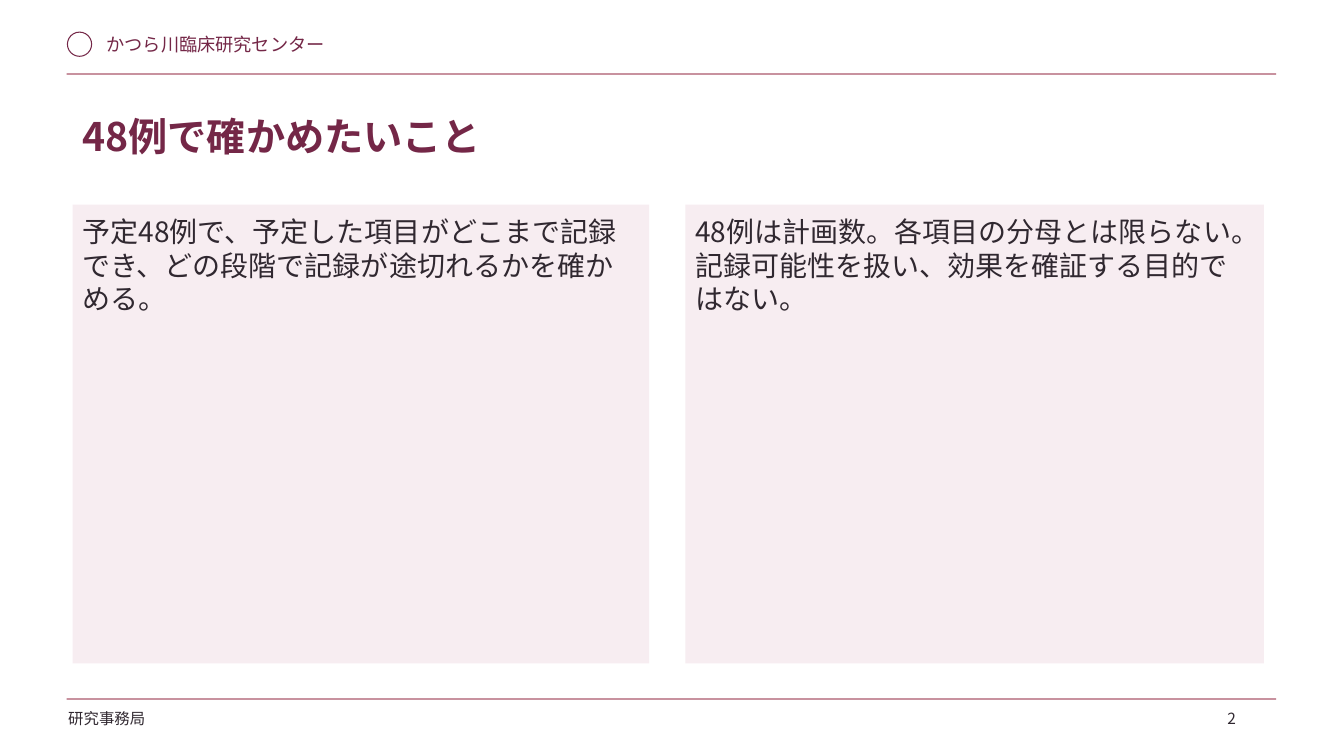
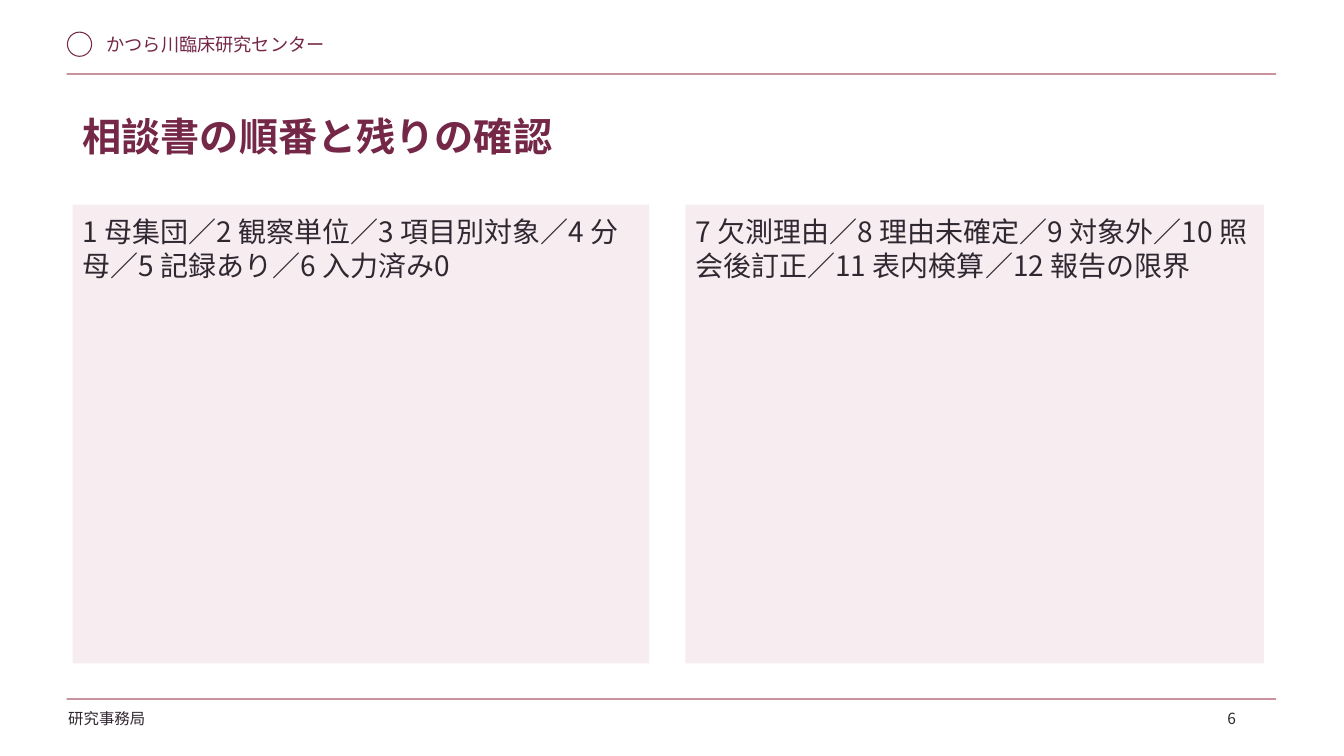
"""Build two slides of a clinical research deck with a shared frame."""
from typing import NamedTuple

from pptx import Presentation
from pptx.dml.color import RGBColor
from pptx.enum.shapes import MSO_SHAPE as Preset
from pptx.enum.text import MSO_ANCHOR as Anchor, PP_ALIGN as Align
from pptx.oxml.ns import qn
from pptx.shapes.autoshape import Shape
from pptx.slide import Slide
from pptx.util import Cm, Pt

FONT = "Noto Sans CJK JP"
PLUM = "742747"
ROSE = "AB586C"
BLUSH = "F7EDF1"
INK = "302830"


class Area(NamedTuple):
    left: float
    top: float
    width: float
    height: float


class TextStyle(NamedTuple):
    size: float
    color: str
    bold: bool = False
    inset: float = 0.13


class Page(NamedTuple):
    number: int
    title: str
    panels: tuple[str, str]


HEADER_STYLE = TextStyle(13, PLUM)
FOOTER_STYLE = TextStyle(11, INK)
TITLE_STYLE = TextStyle(28, PLUM, bold=True, inset=0.25)
PANEL_STYLE = TextStyle(20, INK, inset=0.25)

EMBLEM_AREA = Area(1.7, 0.81, 0.61, 0.61)
HEADER_AREA = Area(2.44, 0.71, 8.38, 0.89)
RULE_TOPS = (1.85, 17.6)
TITLE_AREA = Area(1.83, 2.59, 30.23, 2.06)
PANEL_AREAS = (Area(1.83, 5.16, 14.53, 11.56), Area(17.27, 5.16, 14.58, 11.56))
FOOTER_AREA = Area(1.47, 17.75, 4.57, 0.91)
NUMBER_AREA = Area(30.68, 17.75, 1.27, 0.76)

PAGES = (
    Page(2, "48例で確かめたいこと", (
        "予定48例で、予定した項目がどこまで記録でき、どの段階で記録が途切れるかを確かめる。",
        "48例は計画数。各項目の分母とは限らない。記録可能性を扱い、効果を確証する目的ではない。",
    )),
    Page(6, "相談書の順番と残りの確認", (
        "1 母集団／2 観察単位／3 項目別対象／4 分母／5 記録あり／6 入力済み0",
        "7 欠測理由／8 理由未確定／9 対象外／10 照会後訂正／11 表内検算／12 報告の限界",
    )),
)


def rgb(value: str) -> RGBColor:
    """Turn a hex string into a colour."""
    return RGBColor.from_string(value)


def lengths(area: Area) -> tuple[Cm, ...]:
    """Give the position and size of an area as lengths."""
    return tuple(Cm(value) for value in area)


def add_filled(slide: Slide, area: Area, color: str) -> Shape:
    """Add a borderless filled rectangle."""
    box = slide.shapes.add_shape(Preset.RECTANGLE, *lengths(area))
    box.shadow.inherit = False
    box.fill.solid()
    box.fill.fore_color.rgb = rgb(color)
    box.line.fill.background()
    return box


def add_emblem(slide: Slide) -> None:
    """Add the plain ring beside the centre name."""
    ring = slide.shapes.add_shape(Preset.OVAL, *lengths(EMBLEM_AREA))
    ring.shadow.inherit = False
    ring.fill.background()
    ring.line.color.rgb = rgb(PLUM)
    ring.line.width = Pt(0.75)


def write(box: Shape, text: str, style: TextStyle) -> None:
    """Put styled text at the top left of a box."""
    frame = box.text_frame
    frame.word_wrap = True
    frame.vertical_anchor = Anchor.TOP
    frame.margin_left = frame.margin_right = Cm(0.25)
    frame.margin_top = frame.margin_bottom = Cm(style.inset)
    frame.text = text
    para = frame.paragraphs[0]
    para.alignment = Align.LEFT
    for span in para.runs:
        span.font.size = Pt(style.size)
        span.font.bold = style.bold
        span.font.color.rgb = rgb(style.color)
        span.font.name = FONT
        properties = span._r.get_or_add_rPr()
        east_asian = properties.makeelement(qn("a:ea"), {"typeface": FONT})
        properties.append(east_asian)


def add_text(slide: Slide, area: Area, text: str, style: TextStyle) -> None:
    """Add a text box with styled text."""
    write(slide.shapes.add_textbox(*lengths(area)), text, style)


def add_frame(slide: Slide, number: int) -> None:
    """Add the header, rules and footer shared by all pages."""
    add_emblem(slide)
    add_text(slide, HEADER_AREA, "かつら川臨床研究センター", HEADER_STYLE)
    for top in RULE_TOPS:
        add_filled(slide, Area(1.68, top, 30.48, 0.03), ROSE)
    add_text(slide, FOOTER_AREA, "研究事務局", FOOTER_STYLE)
    add_text(slide, NUMBER_AREA, str(number), FOOTER_STYLE)


def main() -> None:
    """Build and save the deck."""
    deck = Presentation()
    deck.slide_width, deck.slide_height = Cm(33.87), Cm(19.05)
    for page in PAGES:
        slide = deck.slides.add_slide(deck.slide_layouts[6])
        add_frame(slide, page.number)
        add_text(slide, TITLE_AREA, page.title, TITLE_STYLE)
        for area, text in zip(PANEL_AREAS, page.panels):
            write(add_filled(slide, area, BLUSH), text, PANEL_STYLE)
    deck.save("out.pptx")


if __name__ == "__main__":
    main()
